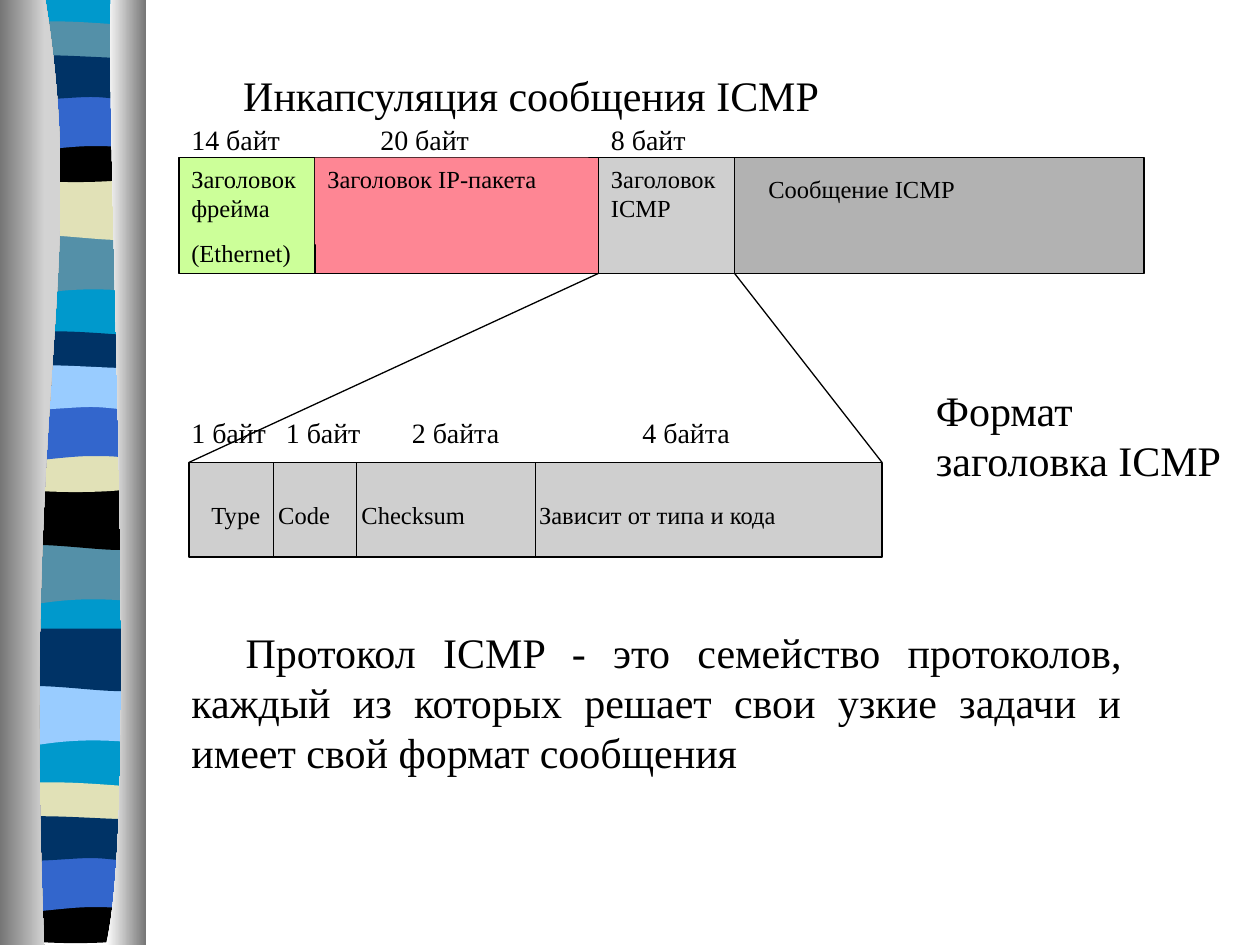
from lxml import etree
from pptx import Presentation
from pptx.dml.color import RGBColor
from pptx.enum.shapes import MSO_CONNECTOR, MSO_SHAPE
from pptx.enum.text import MSO_ANCHOR, MSO_AUTO_SIZE, PP_ALIGN
from pptx.oxml.ns import qn
from pptx.util import Inches, Pt

RECT, LINE = MSO_SHAPE.RECTANGLE, MSO_CONNECTOR.STRAIGHT
TOP, FIXED = MSO_ANCHOR.TOP, MSO_AUTO_SIZE.NONE
LEFT, JUST = PP_ALIGN.LEFT, PP_ALIGN.JUSTIFY
FONT, BLACK, GREY, PINK = "Times New Roman", "000000", "CFCFCF", "FE8694"
SKY, STEEL, CREAM, BLUE, NAVY, PALE = (
    "0099CC", "5490A8", "E1E1B7", "3366CC", "003366", "99CCFF")

# Content: the packet row
TITLE = "Инкапсуляция сообщения ICMP"
ROW_Y, ROW_H = 1.25, 0.92
ROW = [  # left, width, height, fill, edge, paragraphs
    (2.5, 2.25, ROW_H, PINK, True, []),
    (1.42, 1.08, ROW_H, "CCFF99", True, ["Заголовок фрейма", "(Ethernet)"]),
    (2.5, 2.17, 0.69, PINK, False, ["Заголовок IP-пакета"]),
    (4.75, 1.08, ROW_H, GREY, True, ["Заголовок ICMP"]),
    (5.83, 3.25, ROW_H, "B2B2B2", True, []),
]
SIZES = [  # left, top, width, text
    (1.42, 3.25, 0.92, "1 байт"), (2.17, 3.25, 0.92, "1 байт"),
    (3.17, 3.25, 0.92, "2 байта"), (5, 3.25, 0.92, "4 байта"),
    (4.75, 0.92, 1.25, "8 байт"), (2.92, 0.92, 1.25, "20 байт"),
    (1.42, 0.92, 1.25, "14 байт"),
]

# Content: the header fields
HEAD_X, HEAD_Y, HEAD_W, HEAD_H = 1.5, 3.67, 5.5, 0.75
CUTS = [4.25, 2.83, 2.17]
FIELDS = ["Type", "Code", "Checksum", "Зависит от типа и кода"]
TABS = [0.53, 1.19, 2.6]
FORMAT = "Формат заголовка ICMP"
NOTE = ("Протокол ICMP - это семейство протоколов, каждый из которых "
        "решает свои узкие задачи и имеет свой формат сообщения")

# Ribbon: outlines of points (2 numbers) and cubic curves (6 numbers)
WAVE = [(1.08, 0), (1.08, .47), (.33, .39, .18, .55, 0, .47), (0, 0)]
SWELL = [(1.08, 0), (1.08, .47), (.9, .55, .33, .41, 0, .47), (0, 0)]
ARCH = [(1.08, .05), (1.08, .29), (.9, .33, .18, .33, 0, .29), (0, .05),
        (.06, 0, .23, .01, .41, .01), (.59, .01, .94, .04, 1.08, .05)]
DIP = [(1.08, 0), (1.08, .32), (.9, .38, .18, .38, 0, .32), (0, 0),
       (.66, .05, .85, 0, 1.08, 0)]
BUMP = [(1.08, 0), (1.08, .47), (.91, .42, .84, .42, .66, .42),
        (.48, .42, .16, .47, 0, .47), (0, 0)]
RIDGE = [(1.08, .05), (1.08, .36), (1.01, .41, .84, .36, .66, .36),
         (.48, .36, .11, .41, 0, .36), (0, .05),
         (.15, 0, .73, .05, .91, .05), (1.09, .05, 1.04, .05, 1.08, .05)]
BANDS = [  # outline, first top, colour in each of the three rounds
    (WAVE, 1.85, (STEEL, STEEL, PALE)), (SWELL, 1.41, (CREAM, BLACK, NAVY)),
    (ARCH, 0.16, (STEEL, NAVY, CREAM)), (DIP, 1.08, (BLACK, CREAM, BLACK)),
    (BUMP, 0.74, (BLUE, BLUE, BLUE)), (RIDGE, 0.41, (NAVY, PALE, NAVY)),
]
STEP, LATE, LAST = 2.46, 3.58, 6.04
BACK = [(1.08, 0), (1.08, 7.48), (0, 7.48), (0, 0)]
SIDES = [  # outline, gradient from left to right
    ([(.36, 0), (.71, 2.16, .17, 2.96, .35, 7.5), (0, 7.5), (0, 0)],
     ("767676", "D3D3D3")),
    ([(.88, 0), (.84, 1.25, 1.11, 6.46, .84, 7.5), (1.16, 7.5), (1.16, 0)],
     ("FFFFFF", "767676")),
]

prs = Presentation()
prs.slide_width, prs.slide_height = Inches(10), Inches(7.5)
slide = prs.slides.add_slide(prs.slide_layouts[5])
shapes = slide.shapes
master = prs.slide_master.shapes


def rgb(code):
    return RGBColor.from_string(code)


def free(outline, x, y, *cols):
    """Draw a curved outline and place it on the slide master."""
    segs = [[Inches(v + (y if i % 2 else x)) for i, v in enumerate(seg)]
            for seg in outline]
    pen = shapes.build_freeform(*segs[0])
    pen.add_line_segments([seg[-2:] for seg in segs[1:]], close=True)
    shape = pen.convert_to_shape()
    steps = list(shape._element.iter(qn("a:lnTo")))
    for step, seg in zip(steps, segs[1:]):
        if len(seg) == 6:
            step.tag = qn("a:cubicBezTo")
            step.remove(step[0])
            for px, py in zip(seg[::2], seg[1::2]):
                etree.SubElement(step, qn("a:pt"), x=str(px - shape.left),
                                 y=str(py - shape.top))
    shape.shadow.inherit = False
    shape.line.fill.background()
    if len(cols) == 1:
        shape.fill.solid()
        shape.fill.fore_color.rgb = rgb(cols[0])
    else:
        shape.fill.gradient()
        shape.fill.gradient_angle = 0
        for stop, col in zip(shape.fill.gradient_stops, cols):
            stop.color.rgb = rgb(col)
    master._spTree.append(shape._element)


def write(shape, paras, size, align=LEFT, indent=0, tabs=()):
    frame = shape.text_frame
    frame.word_wrap, frame.auto_size = True, FIXED
    frame.vertical_anchor = TOP
    frame.margin_left = frame.margin_right = Inches(0.1)
    frame.margin_top = frame.margin_bottom = Inches(0.05)
    for i, text in enumerate(paras):
        para = frame.add_paragraph() if i else frame.paragraphs[0]
        props = para._p.get_or_add_pPr()
        if tabs:
            stops = etree.SubElement(props, qn("a:tabLst"))
            for pos in tabs:
                etree.SubElement(stops, qn("a:tab"), pos=str(Inches(pos)), algn="l")
        if indent:
            props.set("indent", str(Inches(indent)))
        para.alignment = align
        para.space_before = Pt(8.8 if i else 0)
        run = para.add_run()
        run.text = text
        run.font.name, run.font.size = FONT, Pt(size)
        run.font.color.rgb = rgb(BLACK)


def label(x, y, w, h, text, size, **opts):
    box = shapes.add_textbox(Inches(x), Inches(y), Inches(w), Inches(h))
    write(box, [text], size, **opts)


def block(x, y, w, h, fill, edge=True):
    box = shapes.add_shape(RECT, Inches(x), Inches(y), Inches(w), Inches(h))
    box.shadow.inherit = False
    box.fill.solid()
    box.fill.fore_color.rgb = rgb(fill)
    if edge:
        box.line.color.rgb, box.line.width = rgb(BLACK), Pt(0.75)
    else:
        box.line.fill.background()
    return box


def rule(x1, y1, x2, y2):
    line = shapes.add_connector(LINE, *map(Inches, (x1, y1, x2, y2)))
    line.line.color.rgb, line.line.width = rgb(BLACK), Pt(0.75)
    etree.SubElement(line._element.spPr, qn("a:effectLst"))


# Ribbon on the left edge
free(BACK, 0.06, 0, SKY)
for turn in range(3):
    for outline, top, cols in BANDS:
        late = LATE if outline in (WAVE, SWELL) else LAST
        free(outline, 0.06, top + (0, STEP, late)[turn], cols[turn])
for outline, cols in SIDES:
    free(outline, 0, 0, *cols)

# Title
title = shapes.title
title.left, title.top = Inches(1.83), Inches(0.5)
title.width, title.height = Inches(7.5), Inches(0.5)
write(title, [TITLE], 24)

# Packet row
for x, w, h, fill, edge, paras in ROW:
    write(block(x, ROW_Y, w, h, fill, edge), paras, 14)
label(6, 1.33, 3, 0.34, "Сообщение ICMP", 14)

# Remarks
label(1.42, 4.92, 7.58, 1.3, NOTE, 24, align=JUST, indent=0.43)
label(7.33, 3, 2.67, 0.9, FORMAT, 24)

# Header fields
block(HEAD_X, HEAD_Y, HEAD_W, HEAD_H, GREY)
for x in CUTS:
    rule(x, HEAD_Y, x, HEAD_Y + HEAD_H)
label(1.58, 3.92, 5.08, 0.34, "\t".join(FIELDS), 14, tabs=TABS)
for x, y, w, text in SIZES:
    label(x, y, w, 0.37, text, 16)
rule(4.75, ROW_Y + ROW_H, HEAD_X, HEAD_Y)
rule(5.83, ROW_Y + ROW_H, HEAD_X + HEAD_W, HEAD_Y)

prs.save("out.pptx")
